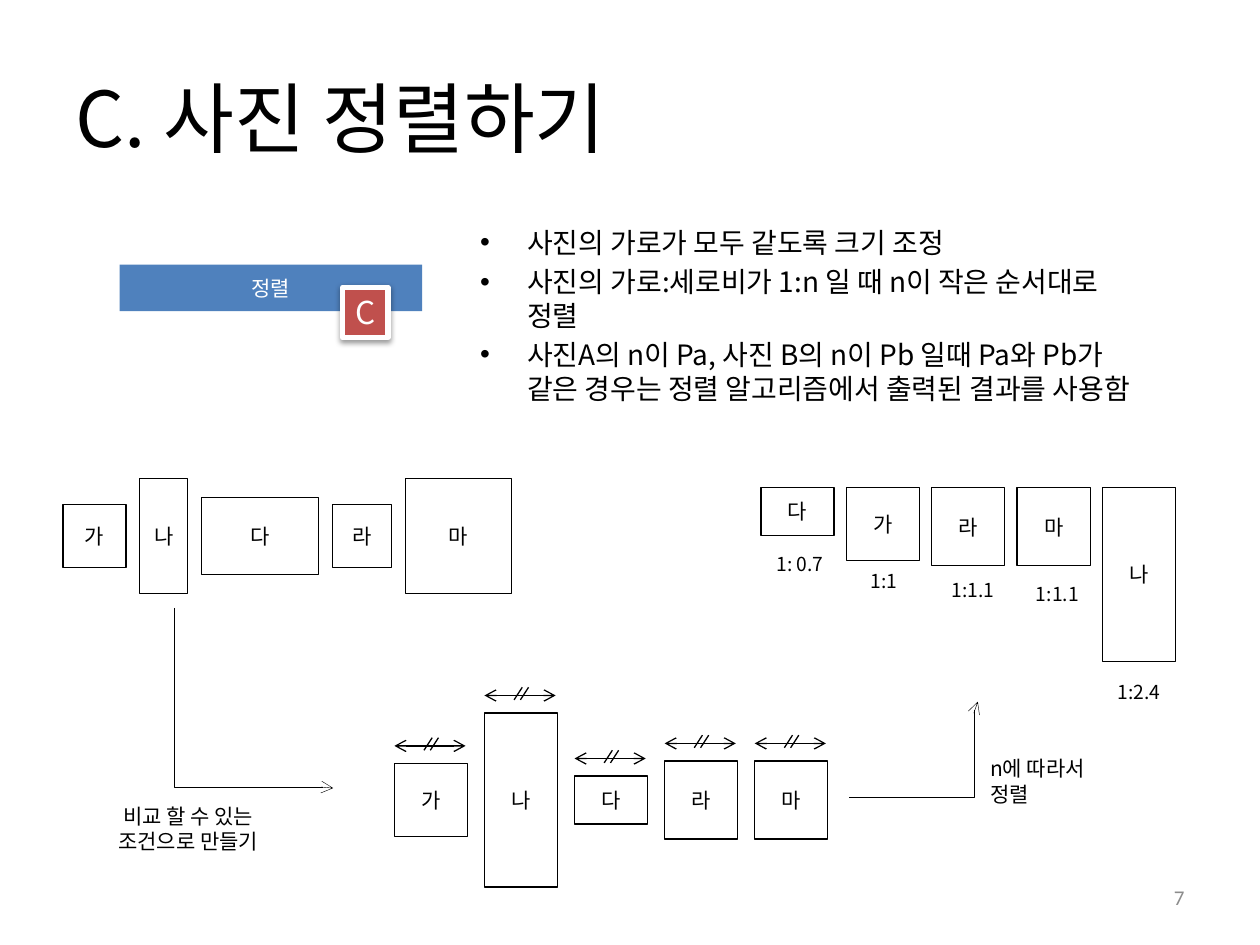
from itertools import accumulate

from lxml import etree
from pptx import Presentation
from pptx import util as u
from pptx.dml import color
from pptx.enum import shapes, text
from pptx.oxml import ns

CELL = u.Inches(0.1)
FONT = "Noto Sans CJK KR"
CENTER = {"alignment": text.PP_ALIGN.CENTER}
TOP = {"vertical_anchor": text.MSO_ANCHOR.TOP}
HEIGHTS = {"가": 5.8, "나": 13.8, "다": 3.8, "라": 6.2, "마": 6.2}
PHOTO_WIDTH = 5.8


def grid(*cells):
    """Turn columns and rows of the 100 by 75 grid into slide lengths."""
    return [int(cell * CELL) for cell in cells]


def rgb(value):
    """Return the colour of a hex string."""
    return color.RGBColor.from_string(value)


def apply(target, values):
    """Set each attribute named in a dict of format values."""
    for name, value in values.items():
        setattr(target, name, value)


def child(parent, tag, **attributes):
    """Append a DrawingML element to its parent."""
    values = {name: str(value) for name, value in attributes.items()}
    return etree.SubElement(parent, ns.qn(f"a:{tag}"), values)


def write(frame, lines, size, ink="000000", font=FONT, paragraph_format=None, frame_format=None):
    """Fill a text frame with one formatted paragraph for each line."""
    apply(frame, {"word_wrap": True, **(frame_format or {})})
    for index, line in enumerate(lines):
        paragraph = frame.add_paragraph() if index else frame.paragraphs[0]
        apply(paragraph, paragraph_format or {})
        run = paragraph.add_run()
        run.text = line
        apply(run.font, {"size": u.Pt(size), "name": font})
        run.font.color.rgb = rgb(ink)
        child(run.font._element, "ea", typeface=font)


def add_box(slide, box, label, fill="FFFFFF", line=None, weight=0.75, size=12, ink="000000",
            paragraph_format=CENTER, frame_format=None):
    """Draw a filled rectangle with its label."""
    shape = slide.shapes.add_shape(shapes.MSO_SHAPE.RECTANGLE, *grid(*box))
    shape.shadow.inherit = False
    shape.fill.solid()
    shape.fill.fore_color.rgb = rgb(fill)
    if line:
        shape.line.color.rgb = rgb(line)
        shape.line.width = u.Pt(weight)
    else:
        shape.line.fill.background()
    write(shape.text_frame, [label], size, ink, paragraph_format=paragraph_format,
          frame_format={"vertical_anchor": text.MSO_ANCHOR.MIDDLE, **(frame_format or {})})
    return shape


def add_label(slide, box, label, size, ink="000000", font=FONT, paragraph_format=CENTER,
              frame_format=None):
    """Place a plain text box."""
    frame = slide.shapes.add_textbox(*grid(*box)).text_frame
    write(frame, [label], size, ink, font, paragraph_format, frame_format)


def add_line(parent, kind, start, end, weight=0.75, ends=()):
    """Draw a black connector with arrows at the named ends."""
    connector = parent.shapes.add_connector(kind, *grid(*start, *end))
    connector.line.color.rgb = rgb("000000")
    connector.line.width = u.Pt(weight)
    properties = connector._element.spPr
    for name in ends:
        child(properties.find(ns.qn("a:ln")), name, type="arrow")
    child(properties, "effectLst")
    return connector


def add_elbow(slide, start, end, bend, turn=0):
    """Draw a bent arrow with its bend and its turn in degrees."""
    connector = add_line(slide, shapes.MSO_CONNECTOR.ELBOW, start, end, 0.25, ["tailEnd"])
    properties = connector._element.spPr
    adjustments = properties.find(ns.qn("a:prstGeom")).find(ns.qn("a:avLst"))
    child(adjustments, "gd", name="adj1", fmla=f"val {round(bend * 100000)}")
    if turn:
        properties.find(ns.qn("a:xfrm")).set("rot", str(turn * 60000))


def add_equal_width_mark(slide, left, row):
    """Draw a double arrow with two equality ticks above a photo."""
    group = slide.shapes.add_group_shape()
    straight = shapes.MSO_CONNECTOR.STRAIGHT
    add_line(group, straight, (left, row), (left + 5.65, row), ends=["headEnd", "tailEnd"])
    for tick in (left + 3, left + 3.5):
        add_line(group, straight, (tick, row - 0.65), (tick - 0.65, row + 0.35))


def add_heading(slide, box, heading):
    """Move and fill the title placeholder."""
    title = slide.shapes.title
    apply(title, dict(zip(("left", "top", "width", "height"), grid(*box))))
    write(title.text_frame, [heading], 44, paragraph_format={"alignment": text.PP_ALIGN.LEFT})


def add_rules(slide, box, rules):
    """Move and fill the body placeholder with the sorting rules."""
    body = slide.placeholders[1]
    apply(body, dict(zip(("left", "top", "width", "height"), grid(*box))))
    write(body.text_frame, rules, 16)


def add_step_badge(slide, box):
    """Draw the step bar with its letter badge."""
    left, top, width, height = box
    add_box(slide, box, "정렬", fill="4F81BD", ink="FFFFFF")
    badge = add_box(slide, (left + width - 6.3, top + 1.8, 3.6, 4), "C", "C0504D", "FFFFFF", 3,
                    18, "FFFFFF", frame_format={**TOP, "word_wrap": False})
    effects = badge._element.spPr.find(ns.qn("a:effectLst"))
    shadow = child(effects, "outerShdw", blurRad=u.Pt(3.1), dist=u.Pt(1.6), dir=5400000,
                   rotWithShape=0)
    child(child(shadow, "srgbClr", val="000000"), "alpha", val=38000)


def add_unsorted(slide, box):
    """Draw the photos at their first sizes, centred in a row."""
    left, top, width, height = box
    photos = {"가": (5, 5), "나": (3.8, 9.1), "다": (9.3, 6.1), "라": (4.7, 5), "마": (8.4, 9.1)}
    gap = (width - sum(size[0] for size in photos.values())) / (len(photos) - 1)
    starts = accumulate((size[0] + gap for size in photos.values()), initial=left)
    for start, (name, (wide, tall)) in zip(starts, photos.items()):
        add_box(slide, (start, top + (height - tall) / 2, wide, tall), name, line="000000")


def add_equalized(slide, box):
    """Draw the photos at equal width, centred in a row."""
    left, top, width, height = box
    pitch = (width - PHOTO_WIDTH) / (len(HEIGHTS) - 1)
    for index, (name, tall) in enumerate(HEIGHTS.items()):
        start, row = left + index * pitch, top + (height - tall) / 2
        add_box(slide, (start, row, PHOTO_WIDTH, tall), name, line="000000")
        add_equal_width_mark(slide, start, row - 1.4)


def add_sorted(slide, box):
    """Draw the photos in order of ratio, hung from one line."""
    left, top, width, height = box
    ratios = [("다", "1: 0.7", 0.2, 0.8), ("가", "1:1", 0.1, 0.2), ("라", "1:1.1", 0.4, 0.5),
              ("마", "1:1.1", 0.3, 0.8), ("나", "1:2.4", 0, 1)]
    pitch = (width - PHOTO_WIDTH) / (len(ratios) - 1)
    for index, (name, ratio, shift, drop) in enumerate(ratios):
        start, tall = left + index * pitch, HEIGHTS[name]
        add_box(slide, (start, top, PHOTO_WIDTH, tall), name, line="000000")
        add_label(slide, (start + shift, top + tall + drop, PHOTO_WIDTH, 2.9), ratio, 11,
                  frame_format={"word_wrap": False})


def add_flow(slide):
    """Draw the bent arrows between the rows and their captions."""
    add_box(slide, (8.3, 63.3, 13.3, 5), "비교 할 수 있는 조건으로 만들기", frame_format=TOP)
    add_elbow(slide, (27.3, 49.1), (13, 61.7), 0.995, 270)
    add_elbow(slide, (67.4, 63.3), (77.6, 55.7), 0.976)
    add_box(slide, (77.6, 59.5, 12.8, 5), "n에 따라서 정렬", frame_format=TOP,
            paragraph_format={"alignment": text.PP_ALIGN.LEFT})


def main():
    """Build and save the slide."""
    presentation = Presentation()
    apply(presentation, dict(zip(("slide_width", "slide_height"), grid(100, 75))))
    slide = presentation.slides.add_slide(presentation.slide_layouts[1])
    add_heading(slide, (5, 3, 90, 12.5), "C. 사진 정렬하기")
    add_rules(slide, (37.1, 17.4, 55, 18), [
        "사진의 가로가 모두 같도록 크기 조정",
        "사진의 가로:세로비가 1:n 일 때 n이 작은 순서대로 정렬",
        "사진A의 n이 Pa, 사진 B의 n이 Pb 일때 Pa와 Pb가 같은 경우는 "
        "정렬 알고리즘에서 출력된 결과를 사용함"])
    add_label(slide, (71.7, 69.2, 23.3, 4), "7", 12, "8C8C8C", "Calibri",
              {"alignment": text.PP_ALIGN.RIGHT}, {"vertical_anchor": text.MSO_ANCHOR.MIDDLE})
    add_step_badge(slide, (9.5, 21, 24, 3.7))
    add_unsorted(slide, (5, 38, 35.6, 9.1))
    add_equalized(slide, (31.3, 56.6, 34.4, 13.8))
    add_sorted(slide, (60.4, 38.7, 32.9, 13.8))
    add_flow(slide)
    presentation.save("out.pptx")


if __name__ == "__main__":
    main()
